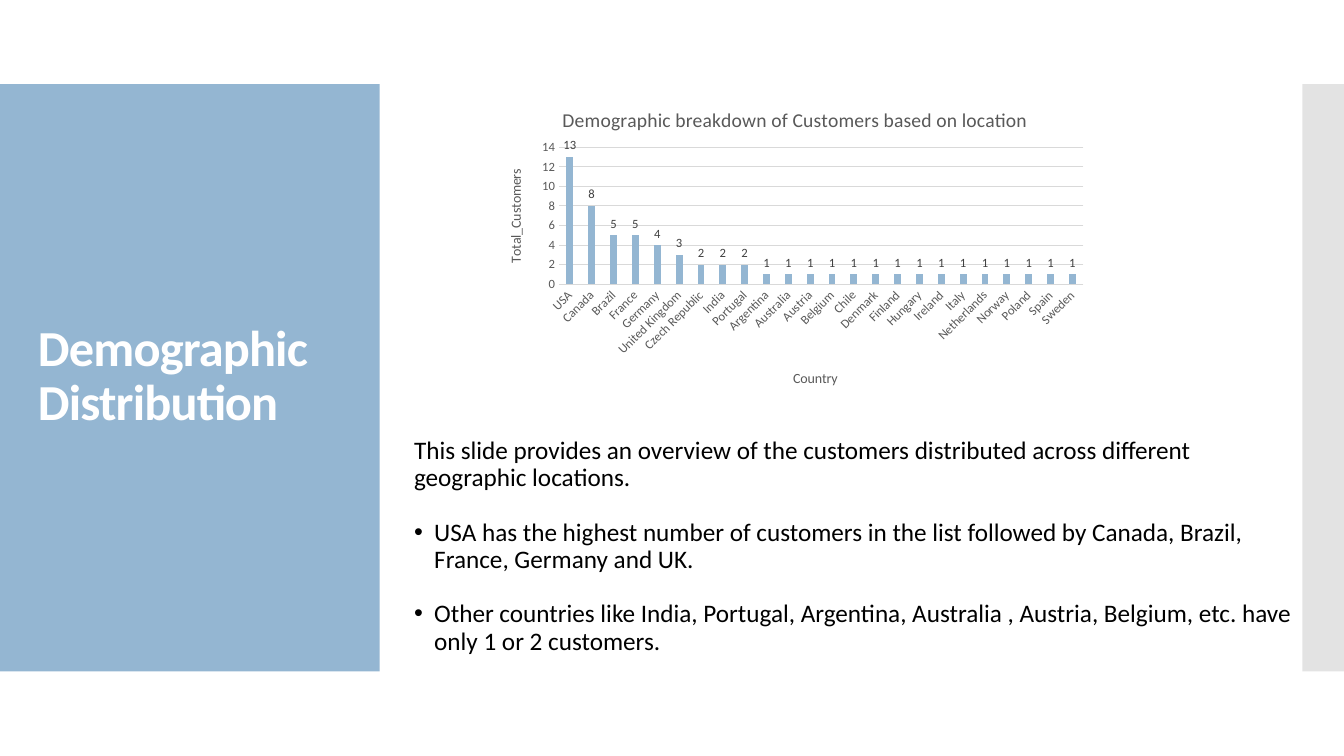
from dataclasses import dataclass

from lxml.etree import SubElement
from pptx import Presentation
from pptx.chart.data import CategoryChartData
from pptx.dml.color import RGBColor as RGB
from pptx.enum.chart import XL_CHART_TYPE as ChartType
from pptx.enum.chart import XL_LABEL_POSITION as LabelPos
from pptx.enum.chart import XL_TICK_MARK as Tick
from pptx.enum.shapes import MSO_SHAPE as Preset
from pptx.enum.text import MSO_ANCHOR as Anchor
from pptx.oxml import parse_xml
from pptx.oxml.ns import nsdecls, qn
from pptx.util import Pt


@dataclass(frozen=True)
class Theme:
    face: str = "Calibri"
    accent: RGB = RGB(0x94, 0xB6, 0xD2)
    edge: RGB = RGB(0xC8, 0xC8, 0xC8)
    white: RGB = RGB(0xFF, 0xFF, 0xFF)
    black: RGB = RGB(0, 0, 0)
    axis_text: RGB = RGB(0x59, 0x59, 0x59)
    value_text: RGB = RGB(0x40, 0x40, 0x40)
    grid: RGB = RGB(0xD9, 0xD9, 0xD9)
    heading: float = 36
    body: float = 18
    chart_title: float = 14
    axis_title: float = 10
    tick: float = 9


CUSTOMERS = {
    "USA": 13, "Canada": 8, "Brazil": 5, "France": 5, "Germany": 4,
    "United Kingdom": 3, "Czech Republic": 2, "India": 2, "Portugal": 2,
} | dict.fromkeys(
    ["Argentina", "Australia", "Austria", "Belgium", "Chile", "Denmark", "Finland",
     "Hungary", "Ireland", "Italy", "Netherlands", "Norway", "Poland", "Spain",
     "Sweden"], 1)

OVERVIEW = ("This slide provides an overview of the customers distributed across "
            "different geographic locations.")
FINDINGS = [
    "USA has the highest number of customers in the list followed by Canada, "
    "Brazil, France, Germany and UK.",
    "Other countries like India, Portugal, Argentina, Australia , Austria, "
    "Belgium, etc. have only 1 or 2 customers.",
]


def set_all(target, **values):
    for name, value in values.items():
        setattr(target, name, value)


def place(element, index, **fractions):
    """Pin a chart part by fractions of the chart; index is the layout's place."""
    old = element.find(qn("c:layout"))
    if old is not None:
        element.remove(old)
    layout = parse_xml(f"<c:layout {nsdecls('c')}><c:manualLayout/></c:layout>")
    manual = layout[0]
    if "w" in fractions:
        SubElement(manual, qn("c:layoutTarget")).set("val", "inner")
    for side in ("x", "y"):
        SubElement(manual, qn(f"c:{side}Mode")).set("val", "edge")
    for name, value in fractions.items():
        SubElement(manual, qn(f"c:{name}")).set("val", str(value))
    element.insert(index, layout)


class SlideBuilder:
    def __init__(self, slide, theme):
        self.slide, self.theme = slide, theme

    def style(self, font, size, color, bold=False):
        set_all(font, name=self.theme.face, size=Pt(size), bold=bold)
        font.color.rgb = color

    def panel(self, left, top, width, height, color, opacity=100):
        panel = self.slide.shapes.add_shape(
            Preset.RECTANGLE, Pt(left), Pt(top), Pt(width), Pt(height))
        panel.shadow.inherit = False
        panel.line.fill.background()
        panel.fill.solid()
        panel.fill.fore_color.rgb = color
        if opacity < 100:
            swatch = panel._element.spPr.find(".//" + qn("a:srgbClr"))
            SubElement(swatch, qn("a:alpha")).set("val", str(opacity * 1000))

    def frame(self, left, top, width, height, **layout):
        box = self.slide.shapes.add_textbox(Pt(left), Pt(top), Pt(width), Pt(height))
        set_all(box.text_frame, word_wrap=True, **layout)
        return box.text_frame

    def add_text(self, paragraph, text, size, color, bold=False, before=0):
        set_all(paragraph, line_spacing=0.9, space_before=Pt(before))
        run = paragraph.add_run()
        run.text = text
        self.style(run.font, size, color, bold)
        return run

    def heading(self, text, *bounds):
        frame = self.frame(*bounds, vertical_anchor=Anchor.MIDDLE)
        run = self.add_text(frame.paragraphs[0], text, self.theme.heading,
                            self.theme.white, bold=True)
        run._r.get_or_add_rPr().set("spc", "-60")

    def summary(self, lead, bullets, *bounds):
        frame = self.frame(*bounds, vertical_anchor=Anchor.TOP, margin_top=0)
        size, color = self.theme.body, self.theme.black
        self.add_text(frame.paragraphs[0], lead, size, color)
        for text in bullets:
            item = frame.add_paragraph()
            self.add_text(item, text, size, color, before=19.5)
            props = item._p.get_or_add_pPr()
            props.set("marL", str(Pt(14.4)))
            props.set("indent", str(Pt(-14.4)))
            SubElement(props, qn("a:buFont")).set("typeface", "Arial")
            SubElement(props, qn("a:buChar")).set("char", "•")

    def caption(self, owner, text, size, x, y):
        """Title a chart or an axis at the given fractions of the chart."""
        owner.has_title = True
        title = owner.chart_title if hasattr(owner, "chart_title") else owner.axis_title
        line = title.text_frame.paragraphs[0]
        run = line.add_run()
        run.text = text
        self.style(run.font, size, self.theme.axis_text)
        place(title._element, 1, x=x, y=y)

    def column_chart(self, values, title, category_title, value_title, *bounds):
        theme = self.theme
        data = CategoryChartData()
        data.categories = list(values)
        data.add_series("Series 1", list(values.values()))
        chart = self.slide.shapes.add_chart(
            ChartType.COLUMN_CLUSTERED, *map(Pt, bounds), data).chart
        chart.has_legend = False
        self.style(chart.font, theme.axis_title, theme.black)

        plot = chart.plots[0]
        set_all(plot, gap_width=219, overlap=-27, vary_by_categories=False,
                has_data_labels=True)
        set_all(plot.data_labels, show_value=True, position=LabelPos.OUTSIDE_END)
        self.style(plot.data_labels.font, theme.tick, theme.value_text)
        bars = plot.series[0].format.fill
        bars.solid()
        bars.fore_color.rgb = theme.accent

        countries, totals = chart.category_axis, chart.value_axis
        for axis in (countries, totals):
            set_all(axis, major_tick_mark=Tick.NONE, minor_tick_mark=Tick.NONE)
            self.style(axis.tick_labels.font, theme.tick, theme.axis_text)
        set_all(totals, minimum_scale=0, maximum_scale=14, major_unit=2,
                has_major_gridlines=True)
        totals.format.line.fill.background()
        for line in (countries.format.line, totals.major_gridlines.format.line):
            line.color.rgb = theme.grid
            line.width = Pt(0.75)
        countries._element.txPr.bodyPr.set("rot", str(-45 * 60000))

        self.caption(chart, title, theme.chart_title, 0.12, 0.05)
        self.caption(countries, category_title, theme.axis_title, 0.5, 0.88)
        self.caption(totals, value_title, theme.axis_title, 0.03, 0.25)
        place(plot._element.getparent(), 0, x=0.12, y=0.19, w=0.86, h=0.43)


def main():
    deck = Presentation()
    set_all(deck, slide_width=Pt(960), slide_height=Pt(540))
    theme = Theme()
    page = SlideBuilder(deck.slides.add_slide(deck.slide_layouts[6]), theme)
    page.panel(0, 60, 271.2, 419.5, theme.accent)
    page.panel(930.4, 60, 29.6, 419.5, theme.edge, opacity=50)
    page.heading("Demographic Distribution", 20, 88.5, 232, 362)
    page.summary(OVERVIEW, FINDINGS, 288.7, 312.5, 645, 179)
    page.column_chart(CUSTOMERS, "Demographic breakdown of Customers based on location",
                      "Country", "Total_Customers", 347, 62, 435.6, 227.5)
    deck.save("out.pptx")


if __name__ == "__main__":
    main()
